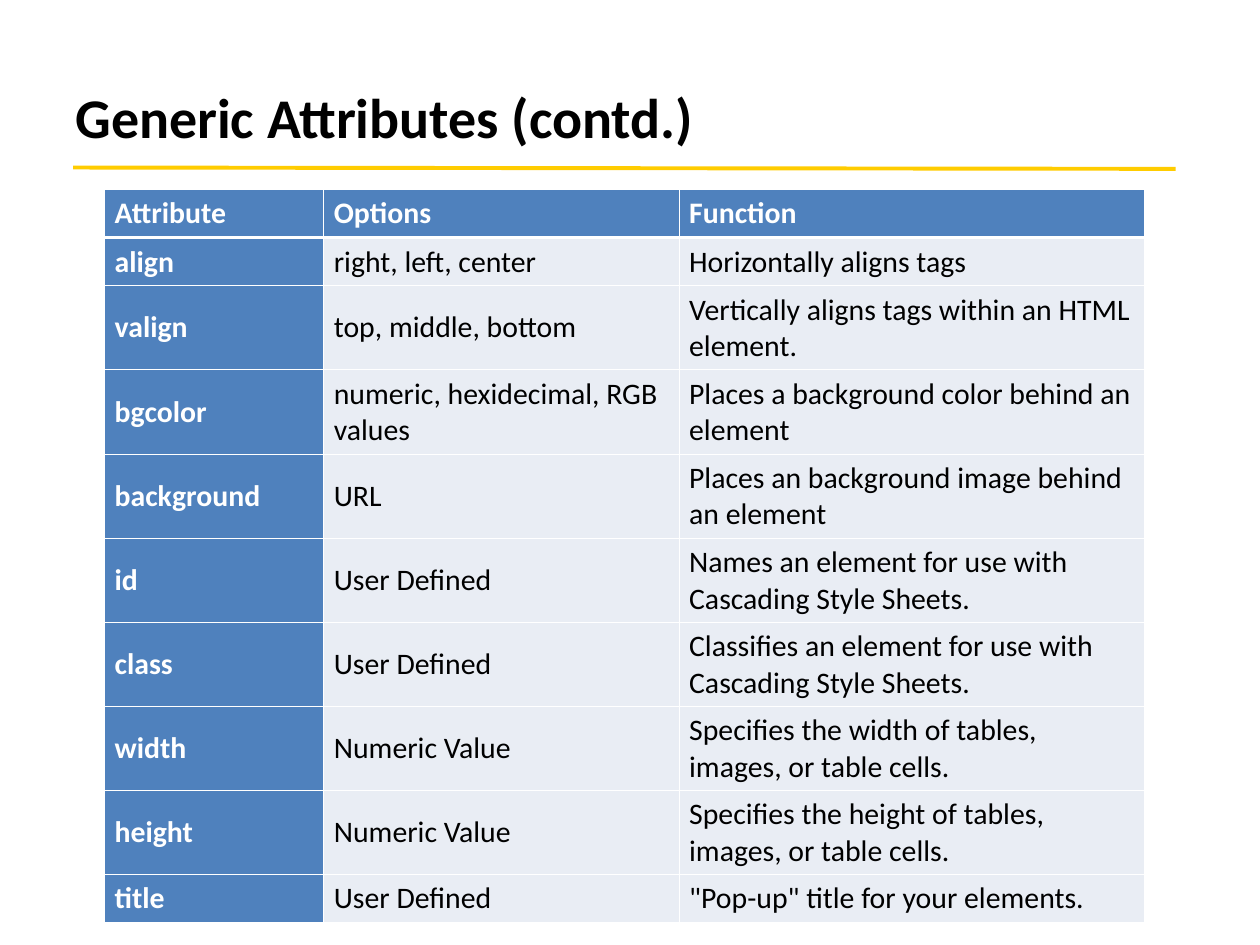
from dataclasses import dataclass
from typing import NamedTuple

from lxml.etree import SubElement
from pptx import Presentation
from pptx.dml.color import RGBColor
from pptx.enum.shapes import MSO_CONNECTOR as Connector
from pptx.enum.text import MSO_ANCHOR as Anchor
from pptx.oxml.ns import qn
from pptx.util import Inches, Pt

SLIDE_WIDTH, SLIDE_HEIGHT = Inches(10), Inches(7.5)


@dataclass(frozen=True)
class Theme:
    font: str = "Calibri"
    dark: str = "000000"
    light: str = "FFFFFF"
    heading_fill: str = "4F81BD"
    body_fill: str = "E9EDF4"
    rule: str = "FFCC00"
    title_size: float = 32
    table_size: float = 17
    rule_width: float = 2.25
    thin_border: float = 0.45
    header_border: float = 1.47


THEME = Theme()


class Attribute(NamedTuple):
    name: str
    options: str
    function: str
    lines: int = 2


HEADER = Attribute("Attribute", "Options", "Function", 1)
ATTRIBUTES = [
    Attribute("align", "right, left, center", "Horizontally aligns tags", 1),
    Attribute("valign", "top, middle, bottom", "Vertically aligns tags within an HTML element."),
    Attribute("bgcolor", "numeric, hexidecimal, RGB values", "Places a background color behind an element"),
    Attribute("background", "URL", "Places an background image behind an element"),
    Attribute("id", "User Defined", "Names an element for use with Cascading Style Sheets."),
    Attribute("class", "User Defined", "Classifies an element for use with Cascading Style Sheets."),
    Attribute("width", "Numeric Value", "Specifies the width of tables, images, or table cells."),
    Attribute("height", "Numeric Value", "Specifies the height of tables, images, or table cells."),
    Attribute("title", "User Defined", '"Pop-up" title for your elements.', 1),
]
COLUMN_SHARES = (17.4, 28.2, 36.9)
FIRST_LINE_SHARE, EXTRA_LINE_SHARE = 5.07, 3.73


def across(percent: float) -> int:
    return round(SLIDE_WIDTH * percent / 100)


def down(percent: float) -> int:
    return round(SLIDE_HEIGHT * percent / 100)


def row_height(attribute: Attribute) -> int:
    return down(FIRST_LINE_SHARE + EXTRA_LINE_SHARE * (attribute.lines - 1))


def style(paragraph, size: float, color: str, bold: bool) -> None:
    font = paragraph.font
    font.name, font.size, font.bold = THEME.font, Pt(size), bold
    font.color.rgb = RGBColor.from_string(color)


def add_title(slide, wording: str) -> None:
    title = slide.shapes.add_textbox(across(5), down(4), across(90), down(16.67))
    frame = title.text_frame
    frame.word_wrap, frame.vertical_anchor = True, Anchor.MIDDLE
    frame.text = wording
    style(frame.paragraphs[0], THEME.title_size, THEME.dark, True)


def add_title_rule(slide) -> None:
    rule = slide.shapes.add_connector(
        Connector.STRAIGHT, across(5.8), down(17.73), across(93.3), down(17.87))
    rule.line.color.rgb = RGBColor.from_string(THEME.rule)
    rule.line.width = Pt(THEME.rule_width)
    SubElement(rule._element.spPr, qn("a:effectLst"))


def fill_cell(cell, wording: str, is_heading: bool) -> None:
    cell.text = wording
    cell.vertical_anchor = Anchor.MIDDLE
    cell.margin_left = cell.margin_right = Inches(0.08)
    cell.margin_top = cell.margin_bottom = Inches(0.05)
    style(cell.text_frame.paragraphs[0], THEME.table_size,
          THEME.light if is_heading else THEME.dark, is_heading)


def paint_cell(cell, is_heading: bool, top: float, bottom: float) -> None:
    """Draw the borders first, as the schema puts them before the fill."""
    properties = cell._tc.get_or_add_tcPr()
    thin = THEME.thin_border
    for side, width in (("L", thin), ("R", thin), ("T", top), ("B", bottom)):
        border = SubElement(properties, qn(f"a:ln{side}"), w=str(Pt(width)))
        solid = SubElement(border, qn("a:solidFill"))
        SubElement(solid, qn("a:srgbClr"), val=THEME.light)
    cell.fill.solid()
    cell.fill.fore_color.rgb = RGBColor.from_string(
        THEME.heading_fill if is_heading else THEME.body_fill)


def add_attribute_table(slide) -> None:
    entries = [HEADER, *ATTRIBUTES]
    table = slide.shapes.add_table(
        len(entries), len(COLUMN_SHARES), across(8.3), down(20),
        across(sum(COLUMN_SHARES)), sum(map(row_height, entries))).table
    for column, share in zip(table.columns, COLUMN_SHARES):
        column.width = across(share)
    for row_index, entry in enumerate(entries):
        table.rows[row_index].height = row_height(entry)
        top = THEME.header_border if row_index == 1 else THEME.thin_border
        bottom = THEME.header_border if row_index == 0 else THEME.thin_border
        for column_index, wording in enumerate((entry.name, entry.options, entry.function)):
            cell = table.cell(row_index, column_index)
            is_heading = row_index == 0 or column_index == 0
            fill_cell(cell, wording, is_heading)
            paint_cell(cell, is_heading, top, bottom)


def main() -> None:
    presentation = Presentation()
    presentation.slide_width, presentation.slide_height = SLIDE_WIDTH, SLIDE_HEIGHT
    slide = presentation.slides.add_slide(presentation.slide_layouts[6])
    add_title(slide, "Generic Attributes (contd.)")
    add_title_rule(slide)
    add_attribute_table(slide)
    presentation.save("out.pptx")


if __name__ == "__main__":
    main()
